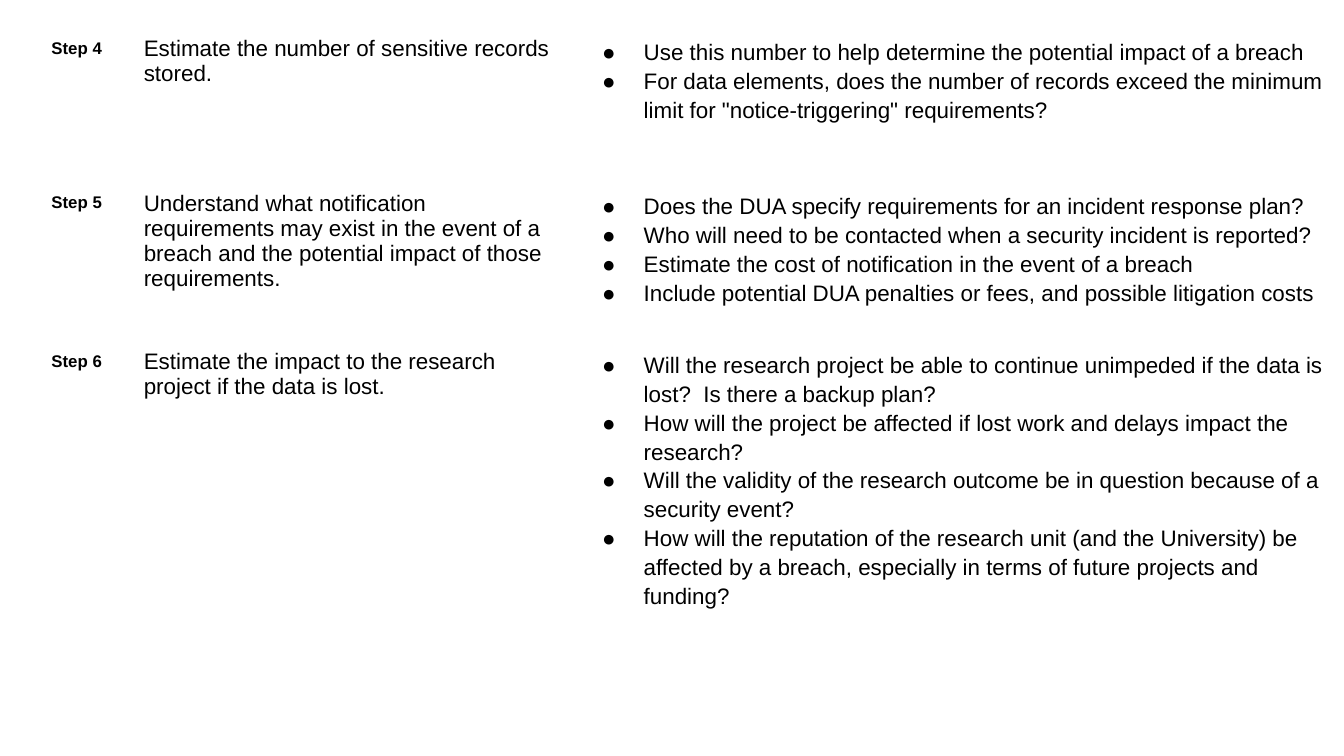
from lxml import etree
from pptx import Presentation
from pptx import util as u
from pptx.dml.color import RGBColor
from pptx.enum import text
from pptx.oxml.ns import qn

COLORS = {"text": "000000"}
FONT = "Arial"
COLUMN_WIDTHS = [0.8, 3.22, 5.89]
ROW_HEIGHTS = [1.15, 1.18, 1.93]

# Content: step, task, guidance
STEPS = [
    ("Step 4", "Estimate the number of sensitive records stored.", [
        "Use this number to help determine the potential impact of a breach",
        "For data elements, does the number of records exceed the minimum limit "
        'for "notice-triggering" requirements?',
    ]),
    ("Step 5", "Understand what notification requirements may exist in the event "
     "of a breach and the potential impact of those requirements.", [
        "Does the DUA specify requirements for an incident response plan?",
        "Who will need to be contacted when a security incident is reported?",
        "Estimate the cost of notification in the event of a breach",
        "Include potential DUA penalties or fees, and possible litigation costs",
    ]),
    ("Step 6", "Estimate the impact to the research project if the data is lost.", [
        "Will the research project be able to continue unimpeded if the data is "
        "lost?  Is there a backup plan?",
        "How will the project be affected if lost work and delays impact the research?",
        "Will the validity of the research outcome be in question because of a "
        "security event?",
        "How will the reputation of the research unit (and the University) be affected "
        "by a breach, especially in terms of future projects and funding?",
    ]),
]


def add_bullet(paragraph):
    properties = paragraph._p.get_or_add_pPr()
    properties.set("marL", str(u.Inches(0.5)))
    properties.set("indent", str(u.Inches(-0.31)))
    color = etree.SubElement(properties, qn("a:buClr"))
    etree.SubElement(color, qn("a:srgbClr"), val=COLORS["text"])
    etree.SubElement(properties, qn("a:buFont"), typeface=FONT)
    etree.SubElement(properties, qn("a:buChar"), char="●")


def fill_cell(cell, lines, size=12, bold=False, spacing=None, align=None, bulleted=False):
    cell.fill.background()
    cell.margin_left = cell.margin_right = u.Inches(0.1)
    cell.margin_top = cell.margin_bottom = u.Inches(0.1)
    frame = cell.text_frame
    for index, line in enumerate(lines):
        paragraph = frame.add_paragraph() if index else frame.paragraphs[0]
        paragraph.alignment = align
        paragraph.line_spacing = spacing
        if bulleted:
            add_bullet(paragraph)
        run = paragraph.add_run()
        run.text = line
        run.font.name = FONT
        run.font.size = u.Pt(size)
        run.font.bold = bold
        run.font.color.rgb = RGBColor.from_string(COLORS["text"])


# Widescreen 16:9 slide
presentation = Presentation()
presentation.slide_width = u.Inches(10)
presentation.slide_height = u.Inches(10 * 9 / 16)
slide = presentation.slides.add_slide(presentation.slide_layouts[6])

# Table grid without banding
table = slide.shapes.add_table(
    len(STEPS), len(COLUMN_WIDTHS), u.Inches(0.17), u.Inches(0.17),
    u.Inches(sum(COLUMN_WIDTHS)), u.Inches(sum(ROW_HEIGHTS))).table
table.first_row = table.horz_banding = False
for column, width in zip(table.columns, COLUMN_WIDTHS):
    column.width = u.Inches(width)
for row, height in zip(table.rows, ROW_HEIGHTS):
    row.height = u.Inches(height)

# Step rows
for row, (step, task, guidance) in zip(table.rows, STEPS):
    step_cell, task_cell, guidance_cell = row.cells
    fill_cell(step_cell, [step], size=9, bold=True, spacing=1.15,
              align=text.PP_ALIGN.CENTER)
    fill_cell(task_cell, [task])
    fill_cell(guidance_cell, guidance, spacing=1.15, bulleted=True)

presentation.save("out.pptx")
